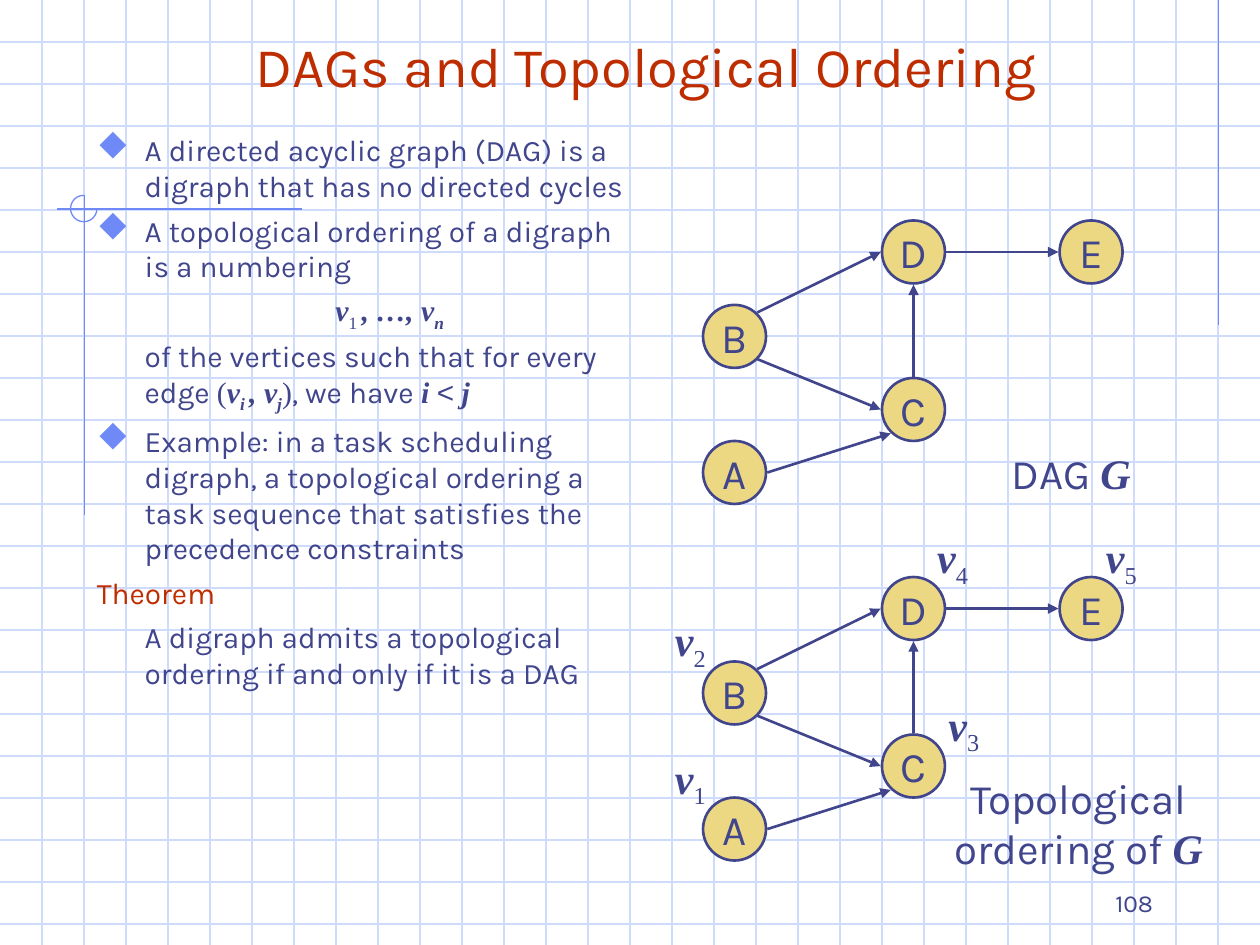
from lxml import etree
from pptx import Presentation
from pptx.dml.color import RGBColor
from pptx.enum.shapes import MSO_CONNECTOR, MSO_SHAPE
from pptx.enum.text import MSO_ANCHOR, MSO_AUTO_SIZE, PP_ALIGN
from pptx.oxml.ns import qn
from pptx.util import Inches, Pt

STRAIGHT = MSO_CONNECTOR.STRAIGHT
ELLIPSE, ARC = MSO_SHAPE.OVAL, MSO_SHAPE.ARC
TOP, MIDDLE, BOTTOM = MSO_ANCHOR.TOP, MSO_ANCHOR.MIDDLE, MSO_ANCHOR.BOTTOM
NO_FIT = MSO_AUTO_SIZE.NONE
LEFT, CENTER, RIGHT = PP_ALIGN.LEFT, PP_ALIGN.CENTER, PP_ALIGN.RIGHT

COLORS = {"ink": "40458C", "red": "BE2D00", "accent": "6F89F7",
          "grid": "CFDBFD", "node": "ECD882"}
SANS, SERIF, ARIAL = "Karla", "Times New Roman", "Arial"
MATH = {"font": SERIF, "bold": True, "italic": True}
MATH_SUB = {**MATH, "baseline": -25}
DIGIT_SUB = {"font": SERIF, "baseline": -25}
INDENT = 0.38


def color(name):
    return RGBColor.from_string(COLORS[name])


class SlideBuilder:
    def __init__(self, slide):
        self.slide = slide

    def span(self, para, text, size, font=SANS, ink="ink", bold=False,
             italic=False, baseline=0):
        span = para.add_run()
        span.text = text
        span.font.size = Pt(size)
        span.font.name = font
        span.font.bold = bold
        span.font.italic = italic
        span.font.color.rgb = color(ink)
        if baseline:
            span.font._element.set("baseline", str(baseline * 1000))

    def fill_para(self, para, parts, size, align=CENTER):
        para.alignment = align
        for text, style in parts:
            self.span(para, text, size, **style)

    def frame(self, shape, anchor=TOP, wrap=True):
        frame = shape.text_frame
        frame.auto_size = NO_FIT
        frame.word_wrap = wrap
        frame.vertical_anchor = anchor
        return frame

    def title(self, text, area):
        title = self.slide.shapes.title
        title.left, title.top, title.width, title.height = map(Inches, area)
        frame = self.frame(title, BOTTOM)
        self.fill_para(frame.paragraphs[0], [(text, {"ink": "red"})], 32)
        # Bring the title in front of the grid
        self.slide.shapes._spTree.append(title._element)

    def text(self, area, parts, size, align=CENTER, anchor=TOP, side=0.1):
        box = self.slide.shapes.add_textbox(*map(Inches, area))
        frame = self.frame(box, anchor)
        frame.margin_left = frame.margin_right = Inches(side)
        self.fill_para(frame.paragraphs[0], parts, size, align)

    def bullet(self, properties):
        tint = etree.SubElement(properties, qn("a:buClr"))
        etree.SubElement(tint, qn("a:srgbClr"), val=COLORS["accent"])
        etree.SubElement(properties, qn("a:buSzPct"), val="110000")
        # The letter u is a diamond in this symbol font
        etree.SubElement(properties, qn("a:buFont"), typeface="Wingdings",
                         pitchFamily="2", charset="2")
        etree.SubElement(properties, qn("a:buChar"), char="u")

    def body(self, area, items, size):
        box = self.slide.shapes.add_textbox(*map(Inches, area))
        frame = self.frame(box)
        for index, (kind, parts) in enumerate(items):
            para = frame.add_paragraph() if index else frame.paragraphs[0]
            properties = para._p.get_or_add_pPr()
            if kind != "heading":
                properties.set("marL", str(Inches(INDENT)))
            if kind == "bullet":
                properties.set("indent", str(-Inches(INDENT)))
                self.bullet(properties)
            if index:
                para.space_before = Pt(5)
            if kind == "formula":
                para.line_spacing = 0.9
            self.fill_para(para, parts, size, CENTER if kind == "formula" else LEFT)

    def line(self, start, end, ink, width=0.75, arrow=False):
        line = self.slide.shapes.add_connector(
            STRAIGHT, *map(Inches, (*start, *end)))
        line.line.color.rgb = color(ink)
        line.line.width = Pt(width)
        if arrow:
            etree.SubElement(line.line._get_or_add_ln(), qn("a:tailEnd"), type="triangle")
        etree.SubElement(line._element.spPr, qn("a:effectLst"))

    def arc(self, area, start, end):
        arc = self.slide.shapes.add_shape(ARC, *map(Inches, area))
        # Angles are stored in 60000ths of a degree, adjustments in 100000ths
        arc.adjustments[0], arc.adjustments[1] = start * 0.6, end * 0.6
        arc.shadow.inherit = False
        arc.fill.background()
        arc.line.color.rgb = color("accent")
        arc.line.width = Pt(0.75)

    def node(self, left, top, name):
        node = self.slide.shapes.add_shape(
            ELLIPSE, *map(Inches, (left, top, 0.5, 0.5)))
        node.shadow.inherit = False
        node.fill.solid()
        node.fill.fore_color.rgb = color("node")
        node.line.color.rgb = color("ink")
        node.line.width = Pt(1.5)
        frame = self.frame(node, MIDDLE, wrap=False)
        self.fill_para(frame.paragraphs[0], [(name, {})], 24)

    def graph(self, drop):
        for name, (left, top) in NODES.items():
            self.node(left, top + drop, name)
        for (x1, y1), (x2, y2) in EDGES:
            self.line((x1, y1 + drop), (x2, y2 + drop), "ink", 1.5, arrow=True)


NODES = {"B": (5.58, 2.42), "A": (5.58, 3.5), "D": (7, 1.75),
         "C": (7, 3), "E": (8.41, 1.75)}
EDGES = [((6.01, 2.48), (6.99, 2)), ((6.01, 2.85), (6.99, 3.25)),
         ((7.51, 2), (8.4, 2)), ((7.25, 2.99), (7.25, 2.26)),
         ((6.09, 3.75), (7.07, 3.44))]
ORDER_LABELS = [(5.26, 5.92), (5.26, 4.83), (7.43, 5.5), (7.34, 4.17), (8.68, 4.17)]

BODY = [
    ("bullet", [("A directed acyclic graph (DAG) is a digraph that has no "
                 "directed cycles", {})]),
    ("bullet", [("A topological ordering of a digraph is a numbering", {})]),
    ("formula", [("v", MATH), ("1 ", DIGIT_SUB), (", …, v", MATH), ("n ", MATH_SUB)]),
    ("plain", [("of the vertices such that for every edge ", {}),
               ("(", {"font": SERIF}), ("v", MATH), ("i ", MATH_SUB),
               (", v", MATH), ("j", MATH_SUB), (")", {"font": SERIF}),
               (", we have ", {}), ("i ", MATH), ("<", {"font": ARIAL}),
               (" j", MATH)]),
    ("bullet", [("Example: in a task scheduling digraph, a topological ordering "
                 "a task sequence that satisfies the precedence constraints", {})]),
    ("heading", [("Theorem", {"ink": "red"})]),
    ("plain", [("A digraph admits a topological ordering if and only if it is "
                "a DAG", {})]),
]


def main():
    deck = Presentation()
    deck.slide_width, deck.slide_height = Inches(10), Inches(7.5)
    page = SlideBuilder(deck.slides.add_slide(deck.slide_layouts[5]))

    # Squared paper, three lines to the inch
    for step in range(1, 23):
        page.line((0, step / 3), (10, step / 3), "grid")
    for step in range(1, 30):
        page.line((step / 3, 0), (step / 3, 7.5), "grid")

    # Accent lines and the open circle
    page.line((9.67, 0), (9.67, 2.58), "accent")
    page.line((2.4, 1.66), (0.45, 1.66), "accent")
    page.line((0.67, 1.55), (0.67, 4.09), "accent")
    page.arc((0.56, 1.55, 0.21, 0.21), 0, 270)

    # Title and body
    page.title("DAGs and Topological Ordering", (0.67, 0.33, 8.92, 0.5))
    page.body((0.67, 1, 4.5, 4.75), BODY, 17)

    # Graph above, the same graph with its ordering below
    page.graph(0)
    page.text((7.89, 3.5, 1.22, 0.5), [("DAG ", {}), ("G", MATH)], 24, side=0)
    page.graph(2.83)
    page.text((7.42, 6.08, 2.28, 1.3),
              [("Topological ordering of ", {}), ("G", MATH)], 24)
    for number, (left, top) in enumerate(ORDER_LABELS, 1):
        page.text((left, top, 0.44, 0.56),
                  [("v", MATH), (str(number), DIGIT_SUB)], 24, side=0)

    # Page number
    page.text((7.17, 6.83, 2.08, 0.5), [("108", {})], 14, RIGHT, BOTTOM)
    deck.save("out.pptx")


if __name__ == "__main__":
    main()
